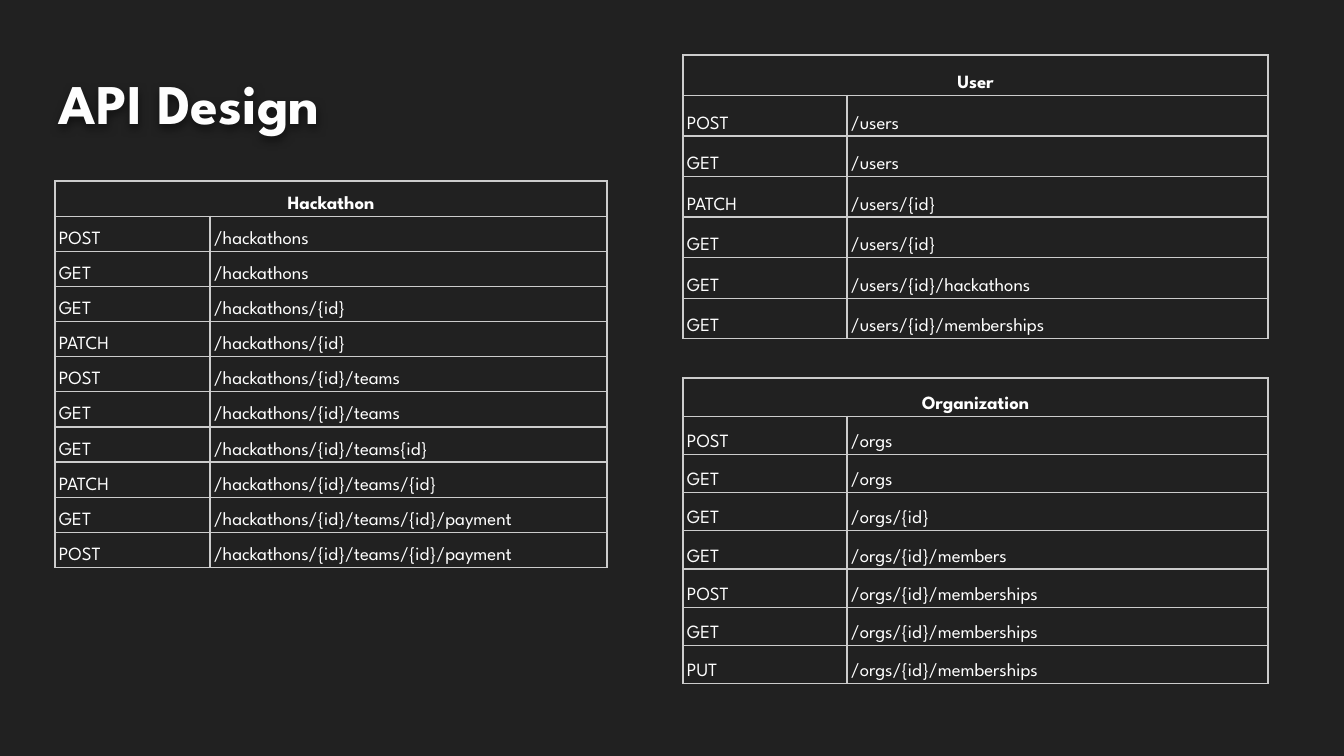
from pptx import Presentation
from pptx.util import Pt
from pptx.dml.color import RGBColor
from pptx.enum.text import MSO_ANCHOR, PP_ALIGN
from pptx.oxml import parse_xml
from pptx.oxml.ns import nsdecls

PX = 914400 / 134.4  # EMU in one px


class Theme:
    back = RGBColor.from_string("212121")
    title = RGBColor.from_string("FEFEFE")
    text = RGBColor.from_string("FFFFFF")
    line = "CCCCCC"
    font = "League Spartan"
    big, small, rule = Pt(30), Pt(10), Pt(0.75)


def px(*sizes):
    return [round(size * PX) for size in sizes]


def style(par, size, color, bold):
    for run in par.runs:
        font = run.font
        font.name, font.size, font.bold = Theme.font, size, bold
        font.color.rgb = color


# Slide and background
deck = Presentation()
deck.slide_width, deck.slide_height = px(1344, 756)
slide = deck.slides.add_slide(deck.slide_layouts[5])
slide.background.fill.solid()
slide.background.fill.fore_color.rgb = Theme.back

# Title with a soft shadow
title = slide.shapes.title
title.left, title.top, title.width, title.height = px(46, 43, 1252, 118)
frame = title.text_frame
frame.text = "API Design"
frame.vertical_anchor = MSO_ANCHOR.MIDDLE
frame.margin_left, frame.margin_right = px(13, 13)
frame.margin_top, frame.margin_bottom = px(13, 13)
frame.paragraphs[0].alignment = PP_ALIGN.LEFT
style(frame.paragraphs[0], Theme.big, Theme.title, True)
title._element.spPr.append(parse_xml(
    f'<a:effectLst {nsdecls("a")}><a:outerShdw blurRad="57150" dist="19050" dir="5400000">'
    '<a:srgbClr val="000000"><a:alpha val="50000"/></a:srgbClr></a:outerShdw></a:effectLst>'))

# Routes: name, left, top, column widths, height, method and address pairs
groups = [
    ("User", 683, 55, (164, 421), 284, [
        ("POST", "/users"),
        ("GET", "/users"),
        ("PATCH", "/users/{id}"),
        ("GET", "/users/{id}"),
        ("GET", "/users/{id}/hackathons"),
        ("GET", "/users/{id}/memberships"),
    ]),
    ("Organization", 683, 378, (164, 421), 306, [
        ("POST", "/orgs"),
        ("GET", "/orgs"),
        ("GET", "/orgs/{id}"),
        ("GET", "/orgs/{id}/members"),
        ("POST", "/orgs/{id}/memberships"),
        ("GET", "/orgs/{id}/memberships"),
        ("PUT", "/orgs/{id}/memberships"),
    ]),
    ("Hackathon", 55, 181, (155, 397), 387, [
        ("POST", "/hackathons"),
        ("GET", "/hackathons"),
        ("GET", "/hackathons/{id}"),
        ("PATCH", "/hackathons/{id}"),
        ("POST", "/hackathons/{id}/teams"),
        ("GET", "/hackathons/{id}/teams"),
        ("GET", "/hackathons/{id}/teams{id}"),
        ("PATCH", "/hackathons/{id}/teams/{id}"),
        ("GET", "/hackathons/{id}/teams/{id}/payment"),
        ("POST", "/hackathons/{id}/teams/{id}/payment"),
    ]),
]

# Tables
for name, left, top, widths, height, routes in groups:
    rows = [(name, ""), *routes]
    box = px(left, top, sum(widths), height)
    table = slide.shapes.add_table(len(rows), 2, *box).table
    table.first_row = table.horz_banding = False
    for col, width in zip(table.columns, px(*widths)):
        col.width = width
    for row in table.rows:
        row.height = round(box[3] / len(rows))
    table.cell(0, 0).merge(table.cell(0, 1))

    for r, texts in enumerate(rows):
        for c, text in enumerate(texts):
            cell = table.cell(r, c)
            cell.fill.background()
            cell.vertical_anchor = MSO_ANCHOR.BOTTOM
            cell.margin_left, cell.margin_right = px(4, 4)
            cell.margin_top, cell.margin_bottom = px(3, 3)
            # Borders come before the fill
            for i, side in enumerate("LRTB"):
                cell._tc.tcPr.insert(i, parse_xml(
                    f'<a:ln{side} {nsdecls("a")} w="{Theme.rule}"><a:solidFill>'
                    f'<a:srgbClr val="{Theme.line}"/></a:solidFill></a:ln{side}>'))
            if text:
                cell.text_frame.text = text
                par = cell.text_frame.paragraphs[0]
                par.line_spacing = 1.15
                par.alignment = PP_ALIGN.LEFT if r else PP_ALIGN.CENTER
                style(par, Theme.small, Theme.text, r == 0)

deck.save("out.pptx")
